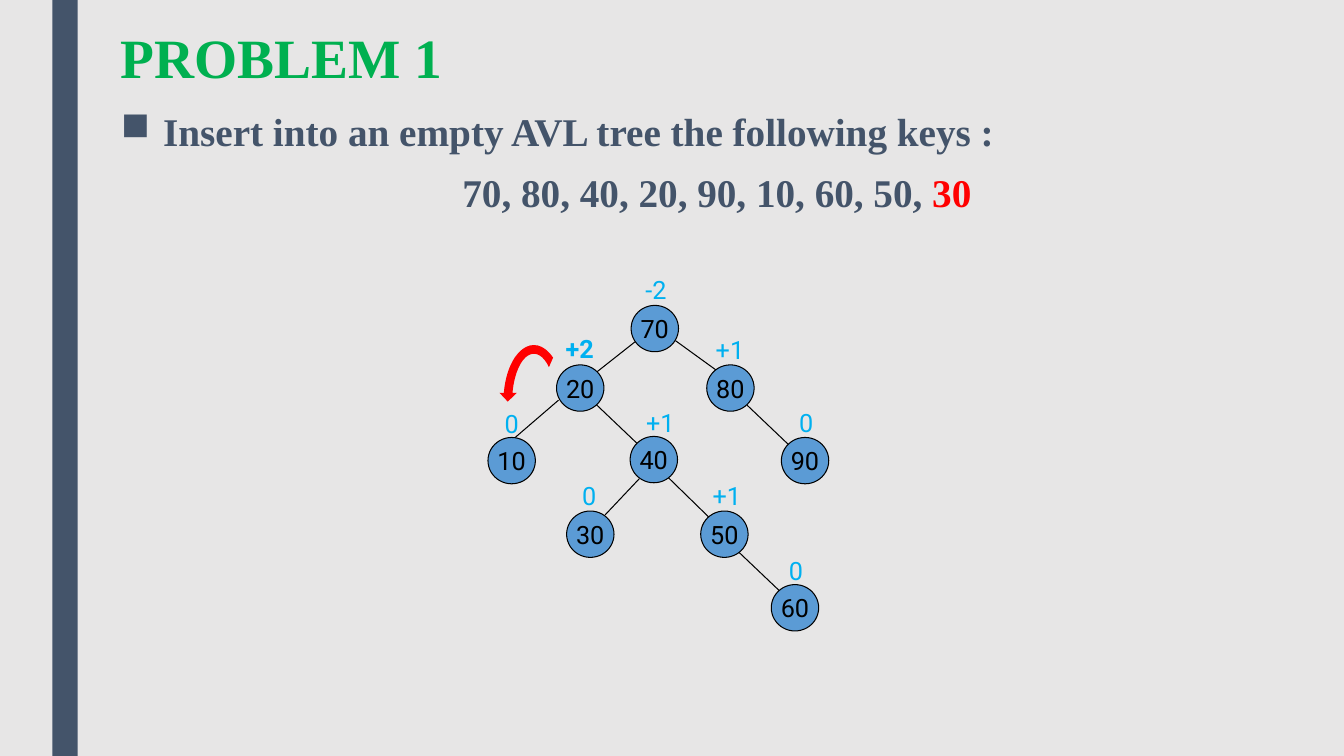
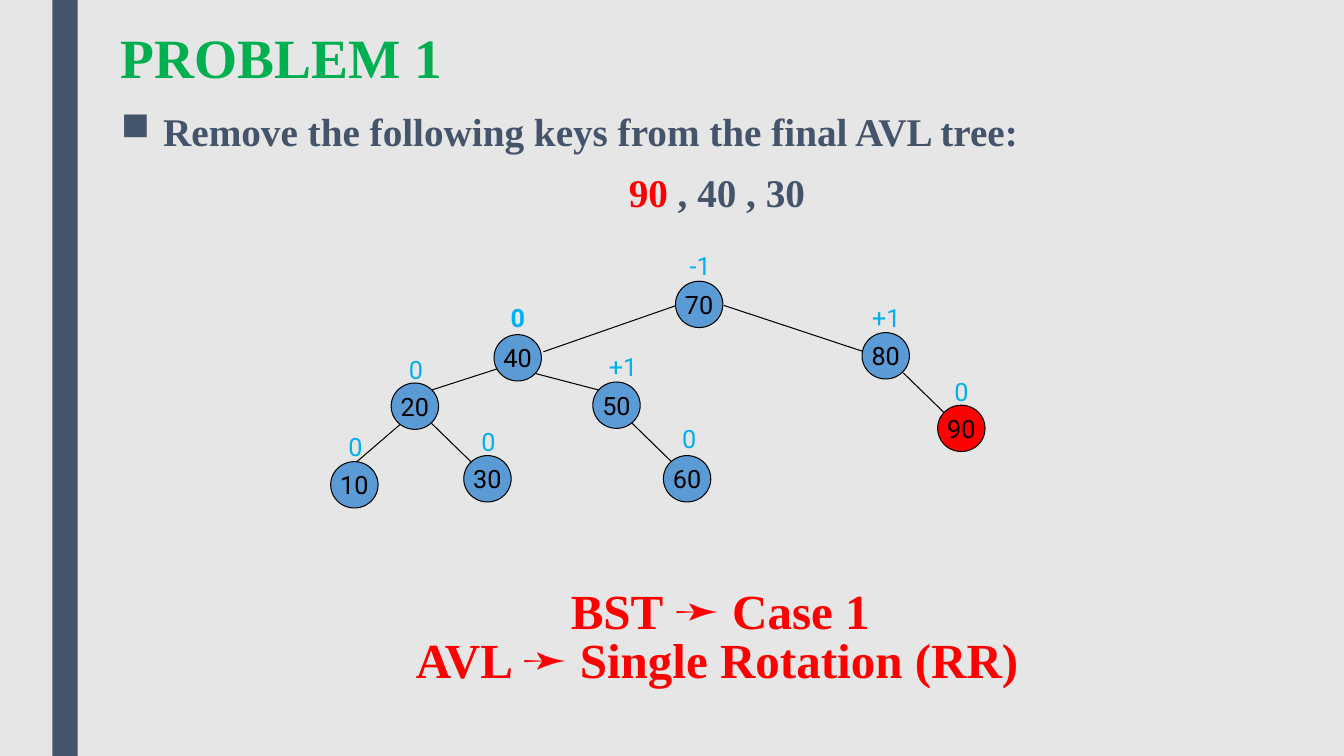
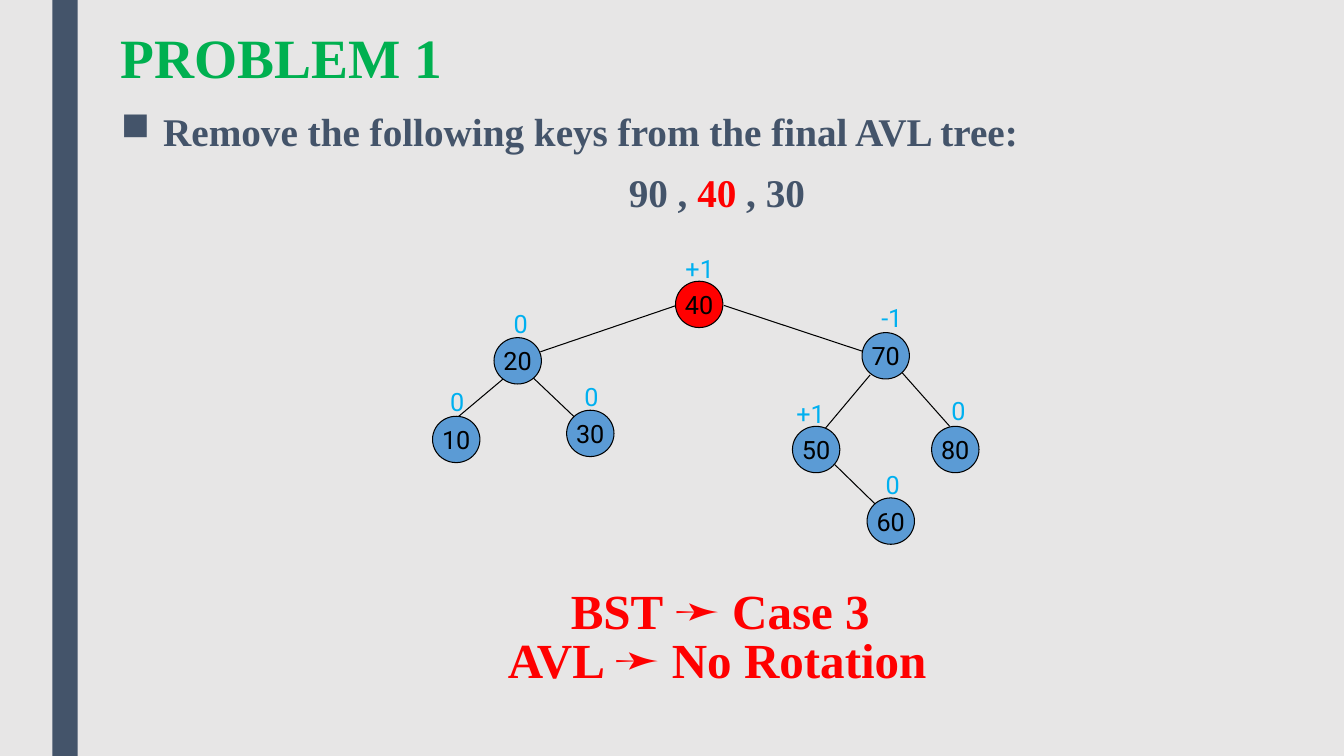
from dataclasses import dataclass

from lxml import etree
from pptx import Presentation
from pptx.dml.color import RGBColor
from pptx.enum import shapes, text
from pptx.oxml import ns
from pptx.util import Inches, Pt


@dataclass(frozen=True)
class Theme:
    background: RGBColor = RGBColor.from_string("E7E6E6")
    slate: RGBColor = RGBColor.from_string("44546A")
    green: RGBColor = RGBColor.from_string("00B050")
    red: RGBColor = RGBColor.from_string("FF0000")
    node: RGBColor = RGBColor.from_string("5B9BD5")
    balance: RGBColor = RGBColor.from_string("00B0F0")
    black: RGBColor = RGBColor.from_string("000000")
    serif: str = "Times New Roman"
    sans: str = "Roboto"
    title_size: Pt = Pt(39.6)
    verdict_size: Pt = Pt(35)
    body_size: Pt = Pt(28)
    tree_size: Pt = Pt(18)
    line_width: Pt = Pt(0.75)


theme = Theme()
NODE_WIDTH, NODE_HEIGHT = 0.47, 0.46
LABEL_WIDTHS = {"0": 0.35, "-1": 0.41, "-2": 0.41, "+1": 0.5, "+2": 0.5}
REMOVE_TASK = "Remove the following keys from the final AVL tree:"

# nodes: key, left, top, balance, balance left, balance top
problems = [
    {
        "task": "Insert into an empty AVL tree the following keys :",
        "keys": ("70, 80, 40, 20, 90, 10, 60, 50, ", "30", ""),
        "red_node": None,
        "bold_balance": 20,
        "nodes": [
            (70, 6.26, 3.03, "-2", 6.3, 2.67),
            (20, 5.52, 3.62, "+2", 5.5, 3.26),
            (80, 7.01, 3.62, "+1", 6.99, 3.27),
            (10, 4.84, 4.34, "0", 4.9, 4),
            (40, 6.25, 4.33, "+1", 6.3, 3.99),
            (90, 7.75, 4.34, "0", 7.82, 3.99),
            (30, 5.62, 5.07, "0", 5.67, 4.72),
            (50, 6.95, 5.07, "+1", 6.96, 4.72),
            (60, 7.65, 5.8, "0", 7.72, 5.46),
        ],
        "edges": [
            (6.3, 3.39, 5.92, 3.69),
            (6.7, 3.38, 7.1, 3.67),
            (7.41, 4.02, 7.82, 4.41),
            (5.91, 4.01, 6.32, 4.4),
            (6.63, 4.74, 7.03, 5.13),
            (6.34, 4.75, 6, 5.11),
            (5.54, 3.97, 5.11, 4.34),
            (7.33, 5.48, 7.74, 5.87),
        ],
        "verdicts": [],
    },
    {
        "task": REMOVE_TASK,
        "keys": ("", "90", " , 40 , 30"),
        "red_node": 90,
        "bold_balance": 40,
        "nodes": [
            (70, 6.7, 2.79, "-1", 6.74, 2.43),
            (40, 4.9, 3.32, "0", 4.96, 2.95),
            (80, 8.55, 3.3, "+1", 8.54, 2.95),
            (20, 3.88, 3.8, "0", 3.95, 3.47),
            (50, 5.88, 3.79, "+1", 5.93, 3.44),
            (90, 9.3, 4.02, "0", 9.36, 3.68),
            (10, 3.28, 4.58, "0", 3.35, 4.23),
            (30, 4.6, 4.52, "0", 4.67, 4.18),
            (60, 6.58, 4.52, "0", 6.66, 4.15),
        ],
        "edges": [
            (6.71, 3.03, 5.39, 3.49),
            (7.18, 3.03, 8.57, 3.49),
            (8.96, 3.7, 9.36, 4.09),
            (5.29, 3.7, 5.94, 3.87),
            (6.26, 4.19, 6.66, 4.58),
            (4.93, 3.66, 4.28, 3.87),
            (3.97, 4.21, 3.54, 4.58),
            (4.28, 4.2, 4.68, 4.59),
        ],
        "verdicts": [
            ("BST ➛ Case 1", 5.56, 5.71, 3.17),
            ("AVL ➛ Single Rotation (RR)", 4.01, 6.2, 6.21),
        ],
    },
    {
        "task": REMOVE_TASK,
        "keys": ("90 , ", "40", " , 30"),
        "red_node": 40,
        "bold_balance": None,
        "nodes": [
            (40, 6.7, 2.79, "+1", 6.69, 2.46),
            (20, 4.9, 3.35, "0", 4.99, 3.01),
            (70, 8.55, 3.3, "-1", 8.64, 2.95),
            (10, 4.29, 4.13, "0", 4.36, 3.78),
            (30, 5.62, 4.07, "0", 5.69, 3.73),
            (50, 7.86, 4.23, "+1", 7.79, 3.9),
            (80, 9.24, 4.23, "0", 9.33, 3.87),
            (60, 8.6, 4.94, "0", 8.68, 4.61),
        ],
        "edges": [
            (6.71, 3.03, 5.36, 3.49),
            (7.18, 3.03, 8.57, 3.49),
            (4.99, 3.76, 4.55, 4.13),
            (5.29, 3.75, 5.7, 4.14),
            (8.95, 3.7, 9.42, 4.23),
            (8.63, 3.72, 8.16, 4.28),
            (8.28, 4.61, 8.68, 5),
        ],
        "verdicts": [
            ("BST ➛ Case 3", 5.56, 5.71, 3.17),
            ("AVL ➛ No Rotation", 4.93, 6.2, 4.37),
        ],
    },
]


def style(paragraph, name, size, color, bold=False, align=text.PP_ALIGN.CENTER):
    paragraph.font.name = name
    paragraph.font.size = size
    paragraph.font.bold = bold
    paragraph.font.color.rgb = color
    paragraph.alignment = align


def add_label(slide, words, left, top, width, height, *font):
    box = slide.shapes.add_textbox(Inches(left), Inches(top), Inches(width), Inches(height))
    box.text_frame.word_wrap = False
    box.text_frame.auto_size = text.MSO_AUTO_SIZE.SHAPE_TO_FIT_TEXT
    paragraph = box.text_frame.paragraphs[0]
    paragraph.text = words
    style(paragraph, *font)


presentation = Presentation()
presentation.slide_width = Inches(13.33)
presentation.slide_height = Inches(7.5)
master = presentation.slide_master
master.background.fill.solid()
master.background.fill.fore_color.rgb = theme.background

for number, problem in enumerate(problems):
    slide = presentation.slides.add_slide(presentation.slide_layouts[5])

    if number == 0:
        band = slide.shapes.add_shape(
            shapes.MSO_SHAPE.RECTANGLE, Inches(0.52), 0, Inches(0.25), presentation.slide_height
        )
        band.shadow.inherit = False
        band.fill.solid()
        band.fill.fore_color.rgb = theme.slate
        band.line.fill.background()
        master.shapes.element.append(band.element)

    title = slide.shapes.title
    title.left, title.top = Inches(1.1), Inches(0.25)
    title.width, title.height = Inches(10.5), Inches(0.71)
    title.text_frame.text = "PROBLEM 1"
    title.text_frame.auto_size = text.MSO_AUTO_SIZE.NONE
    title.text_frame.vertical_anchor = text.MSO_ANCHOR.MIDDLE
    heading = title.text_frame.paragraphs[0]
    heading.line_spacing = 0.89
    style(heading, theme.serif, theme.title_size, theme.green, True, text.PP_ALIGN.LEFT)

    body = slide.shapes.add_textbox(Inches(1.1), Inches(1.05), Inches(12.02), Inches(1.2))
    body.text_frame.word_wrap = True
    task = body.text_frame.paragraphs[0]
    task.text = problem["task"]
    keys = body.text_frame.add_paragraph()
    for words, color in zip(problem["keys"], (theme.slate, theme.red, theme.slate)):
        if words:
            run = keys.add_run()
            run.text = words
            run.font.color.rgb = color
    for paragraph, align in ((task, text.PP_ALIGN.LEFT), (keys, text.PP_ALIGN.CENTER)):
        style(paragraph, theme.serif, theme.body_size, theme.slate, True, align)
        paragraph.line_spacing = 0.94
        paragraph.space_before, paragraph.space_after = Pt(10), Pt(2)
    properties = task._p.get_or_add_pPr()
    properties.set("marL", str(Inches(0.42)))
    properties.set("indent", str(Inches(-0.42)))
    etree.SubElement(properties, ns.qn("a:buChar")).set("char", "■")

    for edge in problem["edges"]:
        branch = slide.shapes.add_connector(
            shapes.MSO_CONNECTOR.STRAIGHT, *(Inches(value) for value in edge)
        )
        branch.line.color.rgb = theme.black
        branch.line.width = theme.line_width
        etree.SubElement(branch.element.spPr, ns.qn("a:effectLst"))

    for key, left, top, balance, label_left, label_top in problem["nodes"]:
        node = slide.shapes.add_shape(
            shapes.MSO_SHAPE.OVAL, Inches(left), Inches(top), Inches(NODE_WIDTH), Inches(NODE_HEIGHT)
        )
        node.shadow.inherit = False
        node.fill.solid()
        node.fill.fore_color.rgb = theme.red if key == problem["red_node"] else theme.node
        node.line.color.rgb = theme.black
        node.line.width = theme.line_width
        node.text_frame.word_wrap = False
        node.text_frame.vertical_anchor = text.MSO_ANCHOR.MIDDLE
        paragraph = node.text_frame.paragraphs[0]
        paragraph.text = str(key)
        style(paragraph, theme.sans, theme.tree_size, theme.black)
        add_label(
            slide, balance, label_left, label_top, LABEL_WIDTHS[balance], 0.4,
            theme.sans, theme.tree_size, theme.balance, key == problem["bold_balance"],
        )

    for words, left, top, width in problem["verdicts"]:
        add_label(
            slide, words, left, top, width, 0.69,
            theme.serif, theme.verdict_size, theme.red, True,
        )

rotation = presentation.slides[0].shapes.add_shape(
    shapes.MSO_SHAPE.CIRCULAR_ARROW, Inches(4.95), Inches(3.38), Inches(0.69), Inches(1.21)
)
rotation.shadow.inherit = False
rotation.fill.solid()
rotation.fill.fore_color.rgb = theme.red
rotation.line.fill.background()
rotation.element.spPr.find(ns.qn("a:xfrm")).set("flipH", "1")
for index, value in enumerate((0.125, 11.42, 204.58, 147.85, 0.125)):
    rotation.adjustments[index] = value

presentation.save("out.pptx")
